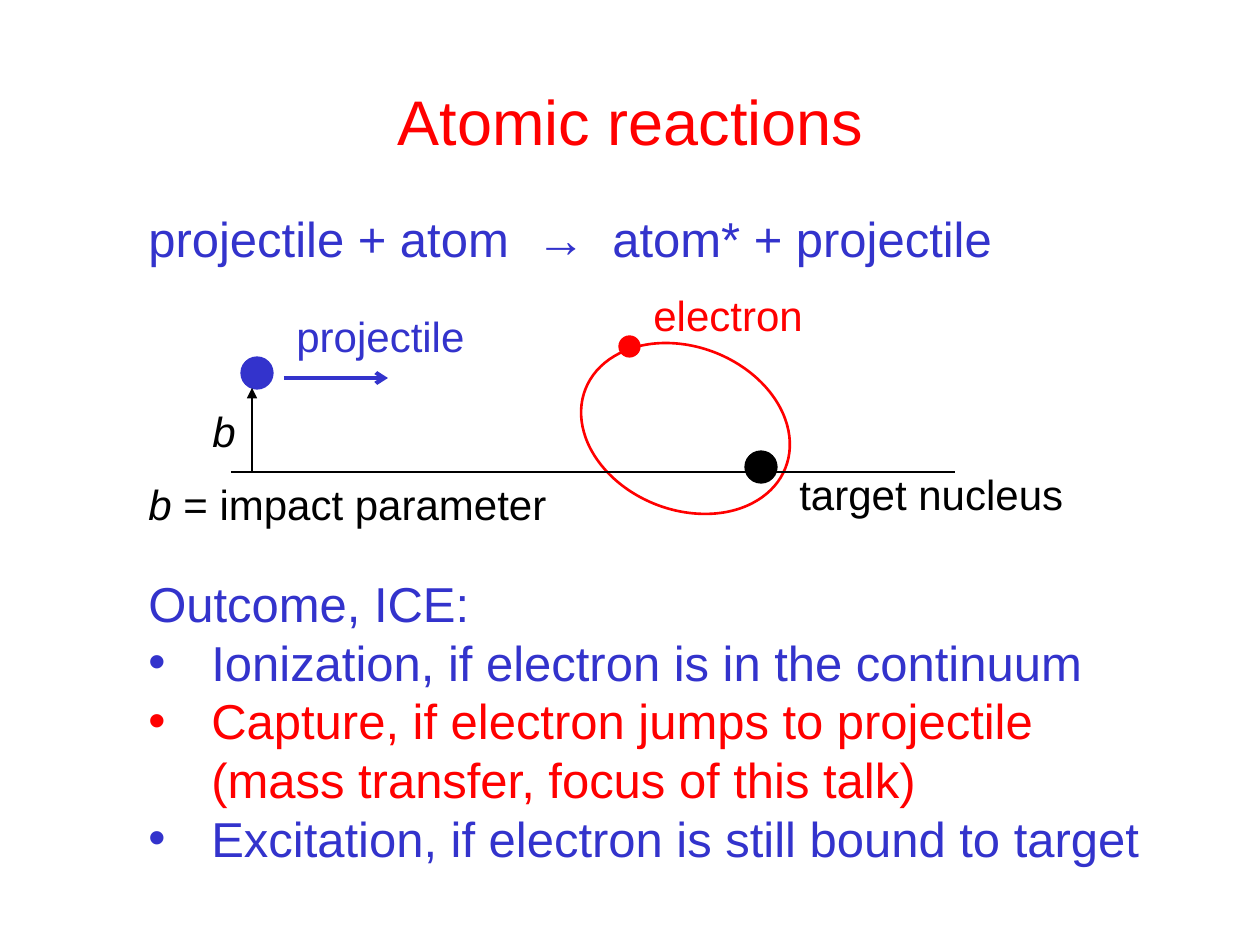
import pptx
import pptx.util
import pptx.dml.color
import pptx.enum.shapes
import pptx.enum.text
import pptx.oxml.ns
from lxml import etree

COLORS = {"blue": "3333CC", "red": "FF0000", "black": "000000"}
qn = pptx.oxml.ns.qn
SHAPE = pptx.enum.shapes.MSO_SHAPE
ANCHOR = pptx.enum.text.MSO_ANCHOR
ALIGN = pptx.enum.text.PP_ALIGN


def px(n):
    return pptx.util.Emu(round(n * 914400 / 126))


def rgb(name):
    return pptx.dml.color.RGBColor.from_string(COLORS[name])


prs = pptx.Presentation()
prs.slide_width, prs.slide_height = px(1260), px(945)
s = prs.slides.add_slide(prs.slide_layouts[6])

# Text boxes: box in px, size, anchor, alignment, wrap, paragraphs of
# (bullet, colour, runs); a run is (text, italic)
texts = [
    ((95, 42, 1071, 157), 36, ANCHOR.MIDDLE, ALIGN.CENTER, True,
     [(False, "red", [("Atomic reactions", False)])]),
    ((136, 567, 1018, 307), 28, ANCHOR.TOP, ALIGN.LEFT, True,
     [(False, "blue", [("Outcome, ICE:", False)]),
      (True, "blue", [("Ionization, if electron is in the continuum", False)]),
      (True, "red", [("Capture, if electron jumps to projectile "
                      "(mass transfer, focus of this talk)", False)]),
      (True, "blue", [("Excitation, if electron is still bound to target", False)])]),
    ((136, 197, 935, 81), 28, ANCHOR.MIDDLE, ALIGN.LEFT, True,
     [(False, "blue", [("projectile + atom\t→\tatom* + projectile", False)])]),
    ((641, 283, 186, 63), 24, ANCHOR.TOP, ALIGN.LEFT, True,
     [(False, "red", [("electron", False)])]),
    ((787, 462, 301, 63), 24, ANCHOR.TOP, ALIGN.LEFT, True,
     [(False, "black", [("target nucleus", False)])]),
    ((284, 304, 205, 63), 24, ANCHOR.TOP, ALIGN.LEFT, True,
     [(False, "blue", [("projectile", False)])]),
    ((136, 472, 451, 63), 24, ANCHOR.TOP, ALIGN.LEFT, True,
     [(False, "black", [("b", True), (" = impact parameter", False)])]),
    ((200, 399, 52, 63), 24, ANCHOR.TOP, ALIGN.LEFT, True,
     [(False, "black", [("b", True)])]),
]
for box, size, anchor, align, wrap, paragraphs in texts:
    sp = s.shapes.add_textbox(*map(px, box))
    tf = sp.text_frame
    tf.word_wrap = wrap
    tf.vertical_anchor = anchor
    for i, (bullet, color, runs) in enumerate(paragraphs):
        p = tf.paragraphs[0] if i == 0 else tf.add_paragraph()
        p.alignment = align
        pPr = p._p.get_or_add_pPr()
        if bullet:
            pPr.set("marL", str(px(63)))
            pPr.set("indent", str(-px(63)))
            clr = etree.SubElement(pPr, qn("a:buClr"))
            etree.SubElement(clr, qn("a:srgbClr"), val=COLORS[color])
            etree.SubElement(pPr, qn("a:buFont"), typeface="Arial")
            etree.SubElement(pPr, qn("a:buChar"), char="•")
        if "\t" in runs[0][0]:
            tabs = etree.SubElement(pPr, qn("a:tabLst"))
            for stop in (388, 464):
                etree.SubElement(tabs, qn("a:tab"), pos=str(px(stop)), algn="l")
        for words, italic in runs:
            r = p.add_run()
            r.text = words
            r.font.name = "Arial"
            r.font.size = pptx.util.Pt(size)
            r.font.italic = italic
            r.font.color.rgb = rgb(color)

# Nucleus, orbit, electron and projectile: box, rotation, colour, filled, line width
ellipses = [
    ((745, 451, 32, 32), 0, "black", True, 0.75),
    ((578, 347, 215, 163), 21.5, "red", False, 1.5),
    ((619, 336, 21, 21), 0, "red", True, 0.75),
    ((241, 357, 32, 32), 0, "blue", True, 0.75),
]
for box, rotation, color, filled, width in ellipses:
    sp = s.shapes.add_shape(SHAPE.OVAL, *map(px, box))
    sp.shadow.inherit = False
    sp.rotation = rotation
    if filled:
        sp.fill.solid()
        sp.fill.fore_color.rgb = rgb(color)
    else:
        sp.fill.background()
    sp.line.color.rgb = rgb(color)
    sp.line.width = pptx.util.Pt(width)

# Velocity arrow, target axis and impact parameter arrow
lines = [
    ((284, 378, 388, 378), "blue", 2.25, "arrow"),
    ((231, 472, 955, 472), "black", 0.75, None),
    ((252, 472, 252, 388), "black", 1.5, "triangle"),
]
for ends, color, width, head in lines:
    c = s.shapes.add_connector(pptx.enum.shapes.MSO_CONNECTOR.STRAIGHT, *map(px, ends))
    c.line.color.rgb = rgb(color)
    c.line.width = pptx.util.Pt(width)
    spPr = c._element.spPr
    if head:
        etree.SubElement(spPr.find(qn("a:ln")), qn("a:tailEnd"), type=head)
    etree.SubElement(spPr, qn("a:effectLst"))

prs.save("out.pptx")
